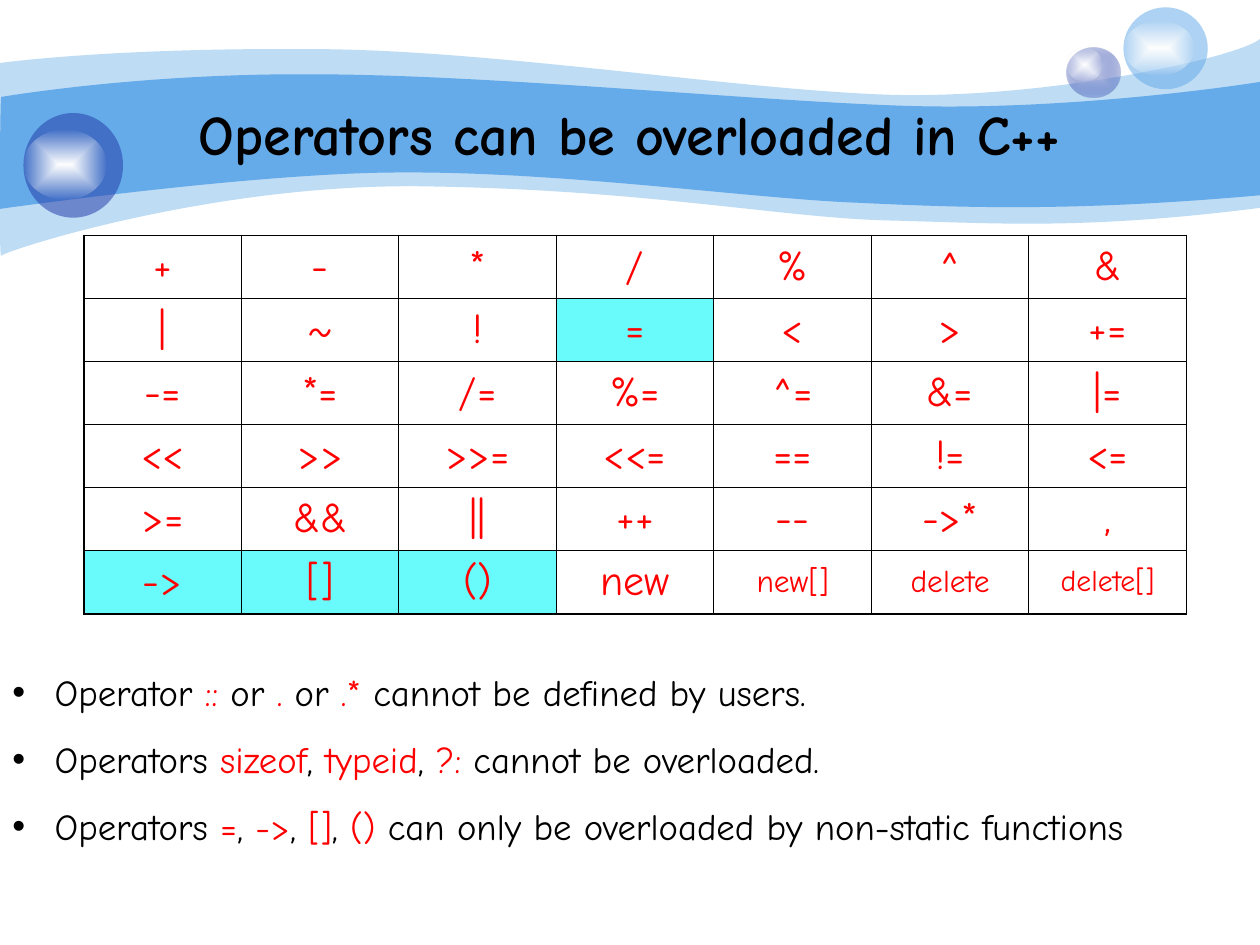
from dataclasses import dataclass
from itertools import chain, islice
from typing import NamedTuple

from lxml import etree
from pptx import Presentation
from pptx import util as u
from pptx.dml.color import RGBColor
from pptx.enum import shapes, text
from pptx.oxml import ns

COLOURS = {
    "sky": "65AAE9", "navy": "233DA9", "mist": "C7CEE9", "white": "FFFFFF",
    "ink": "000000", "operator": "FF0000", "highlight": "69FBFB",
}
FONT = "Comic Neue"


class Box(NamedTuple):
    left: float
    top: float
    width: float
    height: float


class Tint(NamedTuple):
    colour: str
    opacity: int = 100


@dataclass
class Wave:
    start: tuple
    segments: list
    tint: Tint


@dataclass
class Ball:
    body: Box
    glint: Box
    tints: list


WAVES = [
    Wave((0, 36), [
        ((17.3, 33.8), (77, 27.4), (177.8, 28.1)),
        ((277.9, 28.1), (414, 50.4), (503.3, 54)),
        ((591.8, 57.6), (705.6, 33.8), (720, 22.3)),
        ((720, 118.8),),
        ((617.8, 131.8), (566.6, 127.4), (507.6, 126)),
        ((447.8, 124.6), (370.8, 108.7), (247, 106.6)),
        ((123.8, 103.7), (2.9, 143.3), (0.7, 146.2)),
        ((-0.7, 149.8), (0, 54), (0, 36)),
    ], Tint("sky", 41)),
    Wave((0.7, 55.4), [
        ((1.4, 55.4), (79.2, 41.8), (178.6, 42.5)),
        ((277.9, 42.5), (428.4, 57.6), (517, 60.5)),
        ((605.5, 63.4), (702.7, 49.7), (720, 46.8)),
        ((720, 111.6),),
        ((614.2, 121), (550.8, 118.8), (491, 115.9)),
        ((431.3, 113.8), (321.8, 97.9), (228.2, 98.6)),
        ((146.2, 98.6), (-1.4, 119.5), (-0.7, 119.5)),
        ((0, 119.5), (0, 55.4), (0.7, 55.4)),
    ], Tint("sky")),
]
BALLS = [
    Ball(Box(609.8, 27.2, 30.2, 28.8), Box(609.8, 27.2, 20.2, 19.4),
         [Tint("mist"), Tint("navy", 31)]),
    Ball(Box(642, 4.2, 48.2, 46.8), Box(642, 12.1, 40.3, 31), [Tint("sky", 53)]),
    Ball(Box(13.4, 64.6, 56.9, 59.8), Box(13.4, 74, 47.5, 40.3), [Tint("navy", 53)]),
]
GLINT_TINTS = [Tint("white"), Tint("white", 0)]

OPERATORS = [row.split() for row in (
    "+ - * / % ^ &",
    "| ~ ! = < > +=",
    "-= *= /= %= ^= &= |=",
    "<< >> >>= <<= == != <=",
    ">= && || ++ -- ->* ,",
    "-> [] () new new[] delete delete[]",
)]
MEMBERS_ONLY = {"=", "->", "[]", "()"}
SMALL_SIZES = {"new[]": 18, "delete": 18, "delete[]": 17}
CELL_WIDTH, CELL_HEIGHT = 90, 36

RULES = [
    ["Operator ", "::", " or ", ".", " or ", ".*", " cannot be defined by users."],
    ["Operators ", "sizeof", ", ", "typeid", ", ", "?:", " cannot be overloaded."],
    ["Operators ", "=", ", ", "->", ", ", "[]", ", ", "()",
     " can only be overloaded by non-static functions"],
]


def rgb(name: str) -> RGBColor:
    return RGBColor.from_string(COLOURS[name])


def add_child(parent, tag: str, **attributes):
    return etree.SubElement(parent, ns.qn(tag), {k: str(v) for k, v in attributes.items()})


def add_tint(parent, tint: Tint) -> None:
    colour = add_child(parent, "a:srgbClr", val=COLOURS[tint.colour])
    if tint.opacity < 100:
        add_child(colour, "a:alpha", val=tint.opacity * 1000)


def paint(shape, tints: list) -> None:
    shape.shadow.inherit = False
    shape.line.fill.background()
    shape.fill.background()
    blank = shape._element.spPr.find(ns.qn("a:noFill"))
    holder = etree.Element(ns.qn("a:solidFill" if len(tints) == 1 else "a:gradFill"))
    blank.getparent().replace(blank, holder)
    if len(tints) == 1:
        add_tint(holder, tints[0])
        return
    stops = add_child(holder, "a:gsLst")
    for position, tint in zip((0, 100000), tints):
        add_tint(add_child(stops, "a:gs", pos=position), tint)
    spread = add_child(holder, "a:path", path="rect")
    add_child(spread, "a:fillToRect", l=50000, t=50000, r=50000, b=50000)


def bend(shape, segments: list) -> None:
    lines = iter(shape._element.findall(".//" + ns.qn("a:lnTo")))
    for segment in segments:
        members = list(islice(lines, len(segment)))
        if len(members) == 3:
            curve = etree.Element(ns.qn("a:cubicBezTo"))
            members[0].addprevious(curve)
            for member in members:
                curve.append(member[0])
                member.getparent().remove(member)


def draw_wave(slide, wave: Wave) -> None:
    outline = slide.shapes.build_freeform(*map(u.Pt, wave.start))
    points = chain.from_iterable(wave.segments)
    outline.add_line_segments([(u.Pt(x), u.Pt(y)) for x, y in points], close=True)
    ribbon = outline.convert_to_shape()
    bend(ribbon, wave.segments)
    paint(ribbon, [wave.tint])


def draw_ball(slide, ball: Ball) -> None:
    group = slide.shapes.add_group_shape()
    for box, tints in ((ball.body, ball.tints), (ball.glint, GLINT_TINTS)):
        paint(group.shapes.add_shape(shapes.MSO_SHAPE.OVAL, *map(u.Pt, box)), tints)


def style(run, size: float, colour: str, bold: bool = False) -> None:
    run.font.name = FONT
    run.font.size = u.Pt(size)
    run.font.bold = bold
    run.font.color.rgb = rgb(colour)


def draw_title(slide, heading: str) -> None:
    frame = slide.shapes.add_textbox(*map(u.Pt, Box(0, 54, 720, 44.6))).text_frame
    frame.word_wrap = True
    frame.vertical_anchor = text.MSO_ANCHOR.MIDDLE
    frame.text = heading
    frame.paragraphs[0].alignment = text.PP_ALIGN.CENTER
    style(frame.paragraphs[0].runs[0], 32, "ink", True)


def draw_borders(cell, outer: dict) -> None:
    properties = cell._tc.get_or_add_tcPr()
    for side, is_outer in outer.items():
        line = add_child(properties, f"a:ln{side}", w=u.Pt(1.08 if is_outer else 0.45))
        add_tint(add_child(line, "a:solidFill"), Tint("ink"))


def draw_operators(slide) -> None:
    rows, columns = len(OPERATORS), len(OPERATORS[0])
    place = Box(47.9, 134.5, columns * CELL_WIDTH, rows * CELL_HEIGHT)
    table = slide.shapes.add_table(rows, columns, *map(u.Pt, place)).table
    table.first_row = table.horz_banding = False
    for r, row in enumerate(OPERATORS):
        for c, operator in enumerate(row):
            cell = table.cell(r, c)
            draw_borders(cell, {"L": c == 0, "R": c == columns - 1,
                                "T": r == 0, "B": r == rows - 1})
            if operator in MEMBERS_ONLY:
                cell.fill.solid()
                cell.fill.fore_color.rgb = rgb("highlight")
            else:
                cell.fill.background()
            cell.vertical_anchor = text.MSO_ANCHOR.MIDDLE
            cell.text_frame.text = operator
            size = SMALL_SIZES.get(operator, 24)
            paragraph = cell.text_frame.paragraphs[0]
            paragraph.alignment = text.PP_ALIGN.CENTER
            paragraph.space_before = u.Pt(size / 4)
            style(paragraph.runs[0], size, "operator")


def draw_rules(slide) -> None:
    frame = slide.shapes.add_textbox(*map(u.Pt, Box(0, 379.1, 707.8, 149))).text_frame
    frame.word_wrap = True
    for index, rule in enumerate(RULES):
        paragraph = frame.add_paragraph() if index else frame.paragraphs[0]
        paragraph.space_before = u.Pt(13.1)
        properties = paragraph._p.get_or_add_pPr()
        properties.set("marL", str(u.Pt(24.2)))
        properties.set("indent", str(u.Pt(-24.2)))
        add_tint(add_child(properties, "a:buClr"), Tint("ink"))
        add_child(properties, "a:buFont", typeface="Arial")
        add_child(properties, "a:buChar", char="•")
        for position, part in enumerate(rule):
            run = paragraph.add_run()
            run.text = part
            style(run, 21, "operator" if position % 2 else "ink")


def main() -> None:
    deck = Presentation()
    deck.slide_width, deck.slide_height = u.Pt(720), u.Pt(540)
    slide = deck.slides.add_slide(deck.slide_layouts[6])
    for wave in WAVES:
        draw_wave(slide, wave)
    for ball in BALLS:
        draw_ball(slide, ball)
    draw_title(slide, "Operators can be overloaded in C++")
    draw_operators(slide)
    draw_rules(slide)
    deck.save("out.pptx")


if __name__ == "__main__":
    main()
